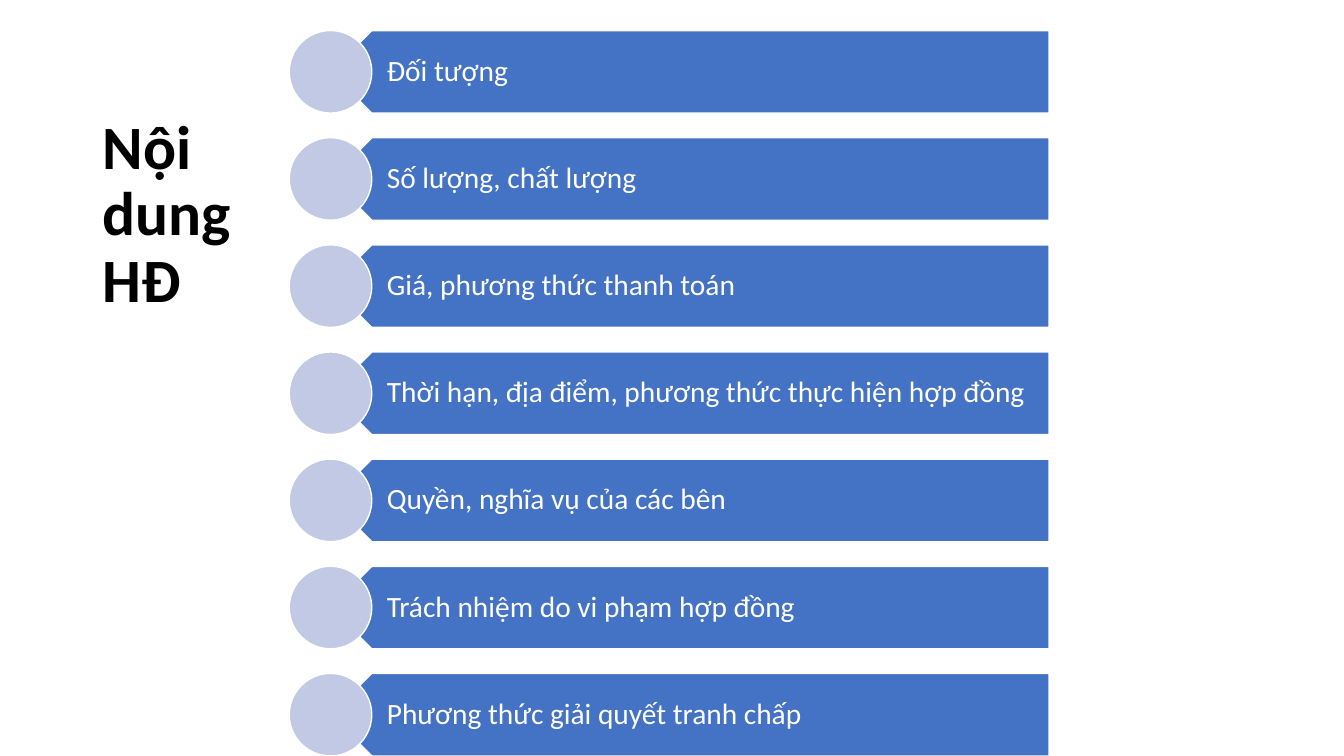
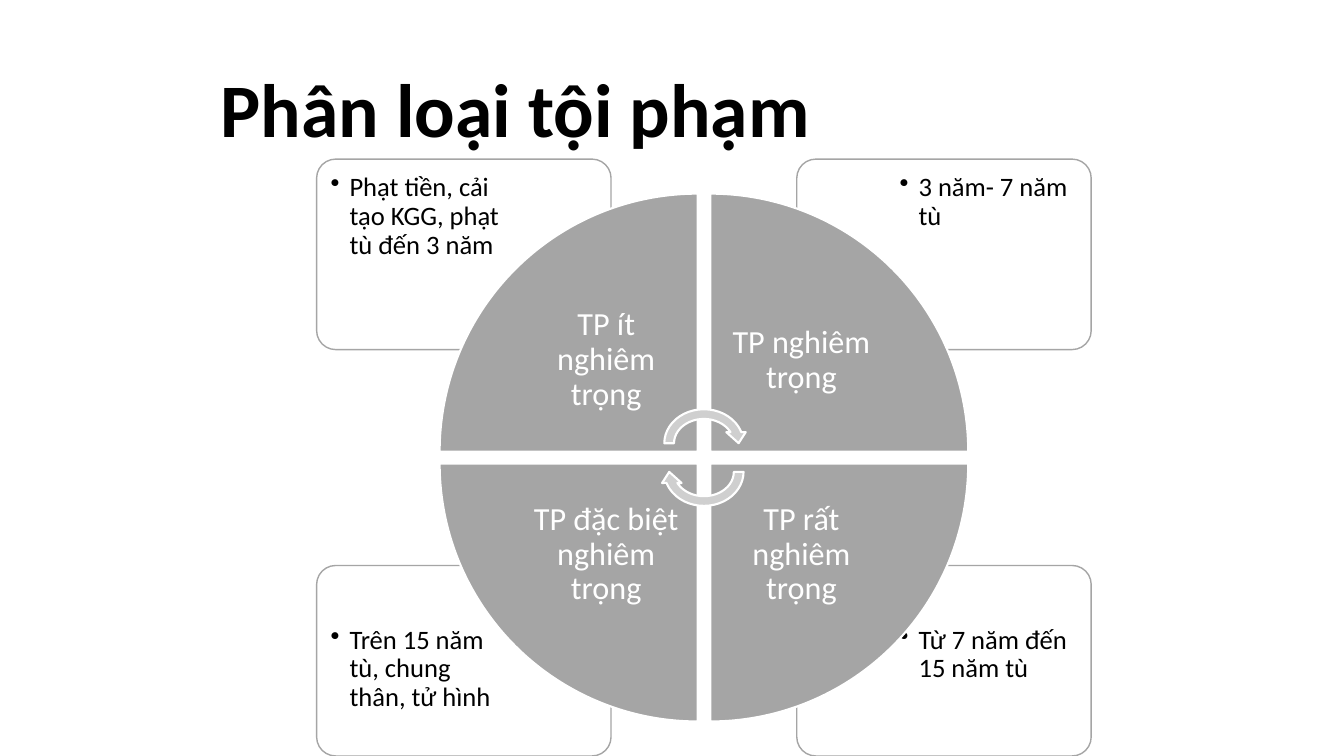
"""Build two slides: the terms of a contract and the classes of crime."""
from dataclasses import dataclass

from lxml.etree import SubElement
from pptx import Presentation
from pptx.dml.color import RGBColor
from pptx.enum.shapes import MSO_SHAPE
from pptx.enum.text import MSO_ANCHOR, PP_ALIGN
from pptx.oxml.ns import qn
from pptx.shapes.autoshape import Shape
from pptx.slide import Slide
from pptx.util import Cm, Pt


@dataclass(frozen=True)
class Theme:
    font: str = "Calibri"
    black: str = "000000"
    white: str = "FFFFFF"
    blue: str = "4472C4"
    pale: str = "C1C9E4"
    gray: str = "A5A5A5"
    light: str = "CFCFCF"
    head: int = 44
    large: int = 54
    row: int = 21
    note: int = 19
    label: int = 23


@dataclass(frozen=True)
class Box:
    left: float
    top: float
    width: float
    height: float

    def flip(self, right: bool, low: bool) -> "Box":
        """Mirror the box across the centre of the wheel."""
        left = 2 * MID_X - self.left - self.width if right else self.left
        top = 2 * MID_Y - self.top - self.height if low else self.top
        return Box(left, top, self.width, self.height)

    def emu(self) -> tuple[Cm, Cm, Cm, Cm]:
        """Give the four lengths in slide units."""
        return Cm(self.left), Cm(self.top), Cm(self.width), Cm(self.height)


@dataclass(frozen=True)
class Part:
    label: str
    note: str
    right: bool
    low: bool
    turn: int


THEME = Theme()
MID_X, MID_Y = 17.74, 11.53
ROW_TOP, ROW_STEP, ROW_SIZE = 0.77, 2.7, 2.08
TERMS = (
    "Đối tượng",
    "Số lượng, chất lượng",
    "Giá, phương thức thanh toán",
    "Thời hạn, địa điểm, phương thức thực hiện hợp đồng",
    "Quyền, nghĩa vụ của các bên",
    "Trách nhiệm do vi phạm hợp đồng",
    "Phương thức giải quyết tranh chấp",
)
PARTS = (
    Part("TP ít nghiêm trọng", "Phạt tiền, cải tạo KGG, phạt tù đến 3 năm", False, False, 0),
    Part("TP nghiêm trọng", "3 năm- 7 năm tù", True, False, 90),
    Part("TP rất nghiêm trọng", "Từ 7 năm đến 15 năm tù", True, True, 180),
    Part("TP đặc biệt nghiêm trọng", "Trên 15 năm tù, chung thân, tử hình", False, True, 270),
)
CARD = Box(7.98, 4.01, 7.42, 4.8)
NOTE = Box(8.08, 4.13, 4.98, 3.4)
WEDGE = Box(11.08, 4.88, 6.5, 6.5)
LABEL = Box(12.98, 6.78, 4.6, 4.6)
ARROW = Box(16.62, 10.19, 2.24, 1.96)


def add_form(slide: Slide, kind: MSO_SHAPE, box: Box, *, fill: str,
             line: str = THEME.white, width: float = 1, turn: int = 0) -> Shape:
    """Draw a filled preset shape without a shadow."""
    form = slide.shapes.add_shape(kind, *box.emu())
    form.shadow.inherit = False
    form.fill.solid()
    form.fill.fore_color.rgb = RGBColor.from_string(fill)
    form.line.color.rgb = RGBColor.from_string(line)
    form.line.width = Pt(width)
    form.rotation = turn
    return form


def add_text(slide: Slide, text: str, box: Box, *, size: int, color: str = THEME.black,
             bold: bool = False, align: PP_ALIGN = PP_ALIGN.LEFT,
             anchor: MSO_ANCHOR = MSO_ANCHOR.MIDDLE, bullet: bool = False,
             pads: tuple[float, float, float, float] = (0.25, 0.13, 0.25, 0.13)) -> None:
    """Write one wrapped paragraph in a text box."""
    frame = slide.shapes.add_textbox(*box.emu()).text_frame
    frame.word_wrap = True
    frame.vertical_anchor = anchor
    (frame.margin_left, frame.margin_top,
     frame.margin_right, frame.margin_bottom) = map(Cm, pads)
    para = frame.paragraphs[0]
    para.alignment = align
    para.line_spacing = 0.9
    if bullet:
        props = para.alignment is not None and para._p.get_or_add_pPr()
        props.set("marL", str(Cm(0.48)))
        props.set("indent", str(-Cm(0.48)))
        SubElement(props, qn("a:buChar")).set("char", "•")
    run = para.add_run()
    run.text = text
    run.font.name = THEME.font
    run.font.size = Pt(size)
    run.font.bold = bold
    run.font.color.rgb = RGBColor.from_string(color)


def add_title(slide: Slide, text: str, box: Box, size: int) -> None:
    """Write a slide title."""
    add_text(slide, text, box, size=size, bold=True)


def draw_terms(slide: Slide) -> None:
    """Draw the list of contract terms."""
    for index, term in enumerate(TERMS):
        top = ROW_TOP + index * ROW_STEP
        add_form(slide, MSO_SHAPE.PENTAGON, Box(8.33, top, 18.11, ROW_SIZE),
                 fill=THEME.blue, turn=180)
        add_text(slide, term, Box(8.84, top, 17.58, ROW_SIZE), size=THEME.row,
                 color=THEME.white, pads=(0.91, 0.23, 0.41, 0.23))
        add_form(slide, MSO_SHAPE.OVAL, Box(7.29, top, ROW_SIZE, ROW_SIZE), fill=THEME.pale)
    add_title(slide, "Nội dung HĐ", Box(2.34, 1.02, 4.09, 8.84), THEME.head)


def draw_wheel(slide: Slide) -> None:
    """Draw the wheel of crime classes with a card at each corner."""
    add_title(slide, "Phân loại tội phạm", Box(5.31, 1.02, 26.21, 3.68), THEME.large)
    for part in reversed(PARTS):
        card = add_form(slide, MSO_SHAPE.ROUNDED_RECTANGLE, CARD.flip(part.right, part.low),
                        fill=THEME.white, line=THEME.gray)
        card.adjustments[0] = 0.1
        tint = card.element.spPr.find(qn("a:solidFill"))[0]
        SubElement(tint, qn("a:alpha")).set("val", "90000")
        add_text(slide, part.note, NOTE.flip(part.right, part.low), size=THEME.note,
                 anchor=MSO_ANCHOR.TOP, bullet=True, pads=(0.25,) * 4)
    for part in PARTS:
        add_form(slide, MSO_SHAPE.PIE_WEDGE, WEDGE.flip(part.right, part.low),
                 fill=THEME.gray, width=1.5, turn=part.turn)
        add_text(slide, part.label, LABEL.flip(part.right, part.low), size=THEME.label,
                 color=THEME.white, align=PP_ALIGN.CENTER, pads=(0.45,) * 4)
    for low in (False, True):
        add_form(slide, MSO_SHAPE.CIRCULAR_ARROW, ARROW.flip(False, low),
                 fill=THEME.light, width=1.5, turn=180 * low)


def main() -> None:
    """Build and save the deck."""
    deck = Presentation()
    deck.slide_width, deck.slide_height = Cm(33.87), Cm(19.05)
    for draw in (draw_terms, draw_wheel):
        draw(deck.slides.add_slide(deck.slide_layouts[6]))
    deck.save("out.pptx")


if __name__ == "__main__":
    main()
